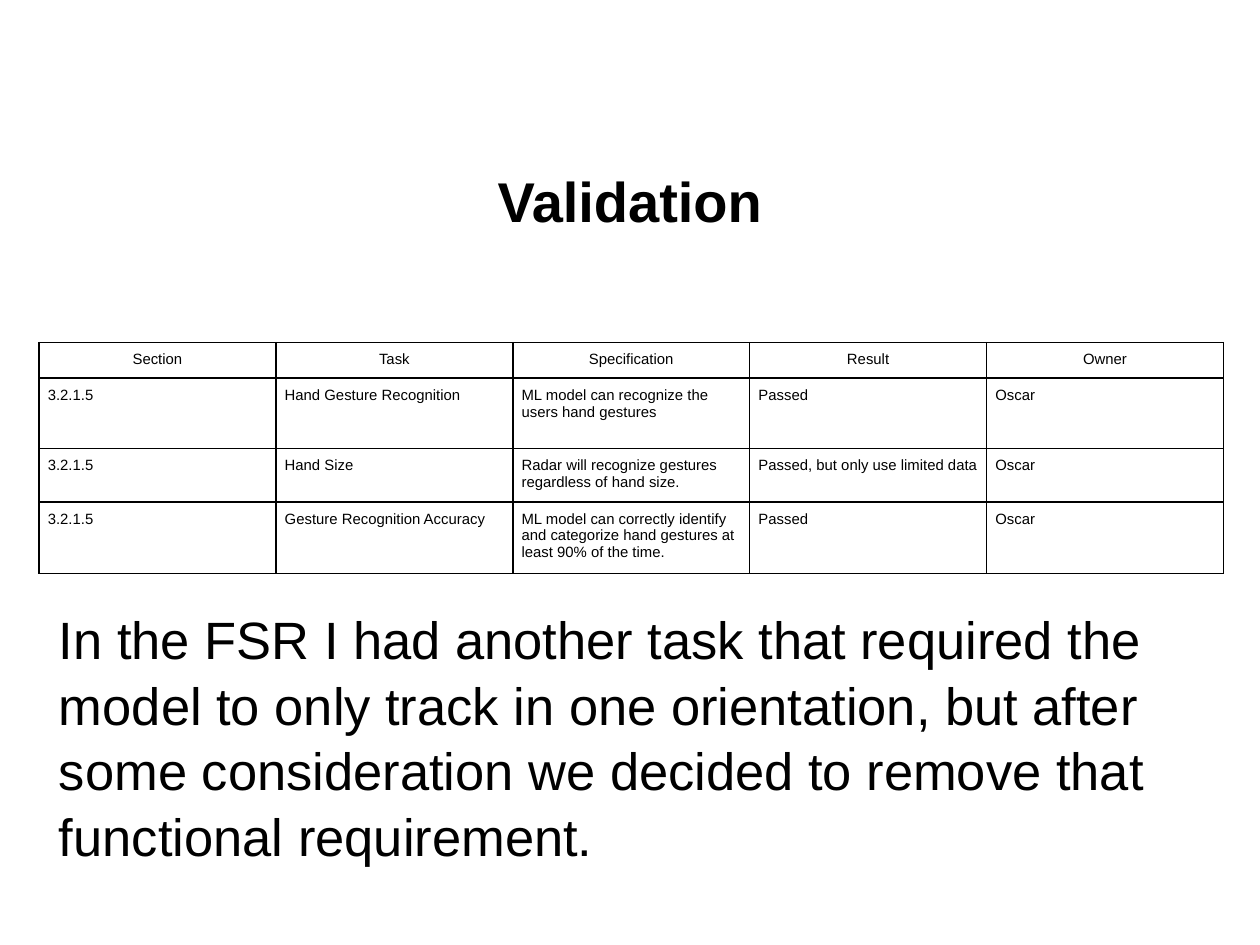
from dataclasses import dataclass

from lxml.etree import SubElement
from pptx import Presentation
from pptx.dml.color import RGBColor
from pptx.enum.text import MSO_ANCHOR as Anchor, PP_ALIGN as Align
from pptx.oxml.ns import qn
from pptx.util import Inches, Pt


@dataclass(frozen=True)
class Theme:
    font: str = "Arial"
    ink: str = "000000"
    paper: str = "FFFFFF"
    title: float = 32
    body: float = 30
    cell: float = 8.5
    border: float = 1


THEME = Theme()
HEADERS = ["Section", "Task", "Specification", "Result", "Owner"]
TASKS = [
    ["3.2.1.5", "Hand Gesture Recognition",
     "ML model can recognize the users hand gestures", "Passed", "Oscar"],
    ["3.2.1.5", "Hand Size",
     "Radar will recognize gestures regardless of hand size.",
     "Passed, but only use limited data", "Oscar"],
    ["3.2.1.5", "Gesture Recognition Accuracy",
     "ML model can correctly identify and categorize hand gestures "
     "at least 90% of the time.", "Passed", "Oscar"],
]
ROW_HEIGHTS = [0.27, 0.56, 0.41, 0.53]
COLUMN_WIDTH = 1.88
REMARK = (
    "In the FSR I had another task that required the model to only track "
    "in one orientation, but after some consideration we decided to remove "
    "that functional requirement."
)


def write(tf, text, size, align=Align.LEFT, bold=False):
    p = tf.paragraphs[0]
    p.alignment = align
    r = p.add_run()
    r.text = text
    r.font.name = THEME.font
    r.font.size = Pt(size)
    r.font.bold = bold
    r.font.color.rgb = RGBColor.from_string(THEME.ink)
    return p


def add_text(s, box, text, size, inset_y, anchor=Anchor.TOP, **style):
    tf = s.shapes.add_textbox(*map(Inches, box)).text_frame
    tf.word_wrap = True
    tf.vertical_anchor = anchor
    tf.margin_left = tf.margin_right = Inches(0.1)
    tf.margin_top = tf.margin_bottom = Inches(inset_y)
    return write(tf, text, size, **style)


def set_borders(cell):
    props = cell._tc.get_or_add_tcPr()
    for side in ("a:lnL", "a:lnR", "a:lnT", "a:lnB"):
        line = SubElement(props, qn(side), w=str(Pt(THEME.border)))
        fill = SubElement(line, qn("a:solidFill"))
        SubElement(fill, qn("a:srgbClr"), val=THEME.ink)


def add_table(s, left, top, rows):
    width = COLUMN_WIDTH * len(HEADERS)
    frame = s.shapes.add_table(
        len(rows), len(HEADERS), Inches(left), Inches(top),
        Inches(width), Inches(sum(ROW_HEIGHTS)))
    table = frame.table
    table.first_row = table.horz_banding = False
    for column in table.columns:
        column.width = Inches(COLUMN_WIDTH)
    for i, values in enumerate(rows):
        table.rows[i].height = Inches(ROW_HEIGHTS[i])
        for j, text in enumerate(values):
            cell = table.cell(i, j)
            cell.margin_left = cell.margin_right = Inches(0.07)
            cell.margin_top = cell.margin_bottom = Inches(0.07)
            set_borders(cell)
            cell.fill.background()
            align = Align.CENTER if i == 0 else Align.LEFT
            write(cell.text_frame, text, THEME.cell, align)


def main():
    prs = Presentation()
    prs.slide_width, prs.slide_height = Inches(10), Inches(7.5)
    s = prs.slides.add_slide(prs.slide_layouts[6])
    s.background.fill.solid()
    s.background.fill.fore_color.rgb = RGBColor.from_string(THEME.paper)
    add_text(s, (0.5, 1.15, 9, 0.88), "Validation", THEME.title, 0.05,
             Anchor.MIDDLE, align=Align.CENTER, bold=True)
    add_table(s, 0.31, 2.72, [HEADERS, *TASKS])
    remark = add_text(s, (0.37, 4.7, 9.27, 2.38), REMARK, THEME.body, 0.1)
    remark.line_spacing = 1.04
    prs.save("out.pptx")


if __name__ == "__main__":
    main()
